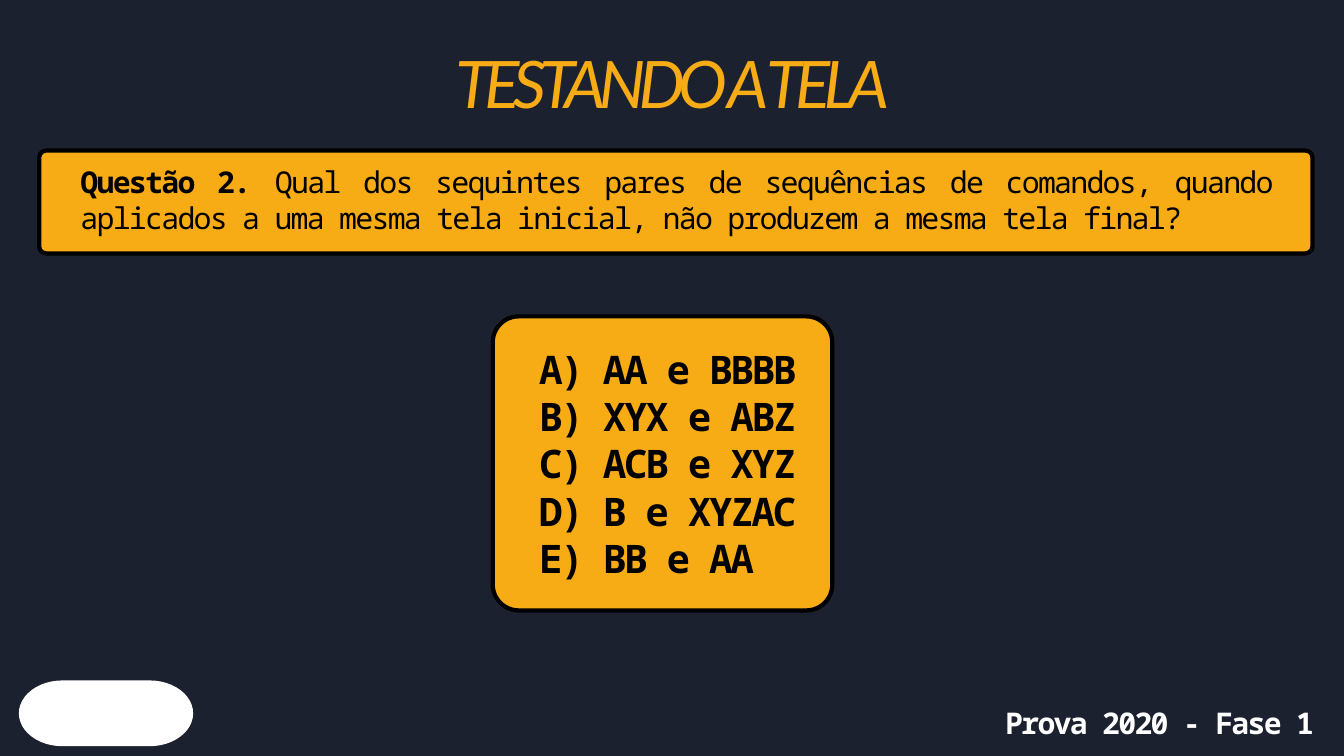
import math

from lxml import etree
from pptx import Presentation
from pptx.dml.color import RGBColor
from pptx.enum import shapes, text
from pptx.oxml.ns import qn
from pptx.util import Emu, Pt

PX = 9525  # EMU in one px, 96 px to the inch
COLORS = {"night": "1C2130", "amber": "F7AC16", "ink": "000000", "white": "FFFFFF"}
MONO, SANS = "Noto Sans Mono", "Lato"
ALIGN = text.PP_ALIGN

TITLE = "TESTANDO A TELA"
QUESTION = [
    ("Questão 2. ", True),
    ("Qual dos sequintes pares de sequências de comandos, quando aplicados a uma "
     "mesma tela inicial, não produzem a mesma tela final?", False),
]
OPTIONS = ["A) AA e BBBB", "B) XYX e ABZ", "C) ACB e XYZ", "D) B e XYZAC", "E) BB e AA"]
EXAM = "Prova 2020 - Fase 1"


def px(value):
    return Emu(round(value * PX))


def color(name):
    return RGBColor.from_string(COLORS[name])


def put(shape, left, top, width, height):
    shape.left, shape.top, shape.width, shape.height = map(px, (left, top, width, height))


def prepare_frame(shape):
    """Plain text area: no insets, text from the top."""
    frame = shape.text_frame
    frame.word_wrap = True
    frame.auto_size = text.MSO_AUTO_SIZE.NONE
    frame.vertical_anchor = text.MSO_ANCHOR.TOP
    frame.margin_left = frame.margin_top = frame.margin_right = frame.margin_bottom = 0
    return frame


def format_para(para, font, size, ink, align, leading, tracking, bold=None, italic=None):
    para.alignment = align
    para.line_spacing = Pt(leading)
    para.space_before = Pt(0)
    props = para._p.get_or_add_pPr()
    props.set("marL", "0")
    props.set("indent", "0")
    etree.SubElement(props, qn("a:buNone"))
    para.font.name, para.font.size = font, Pt(size)
    para.font.bold, para.font.italic = bold, italic
    para.font.color.rgb = color(ink)
    props.find(qn("a:defRPr")).set("spc", str(round(tracking * 100)))


def add_card(page, left, top, width, height, radius):
    card = page.shapes.add_shape(shapes.MSO_SHAPE.ROUNDED_RECTANGLE,
                                 px(left), px(top), px(width), px(height))
    card.adjustments[0] = radius / min(width, height)
    card.shadow.inherit = False
    card.fill.solid()
    card.fill.fore_color.rgb = color("amber")
    card.line.color.rgb = color("ink")
    card.line.width = Pt(4.5)


def add_title(page, left, top, width, height):
    title = page.shapes.title
    put(title, left, top, width, height)
    para = prepare_frame(title).paragraphs[0]
    para.text = TITLE
    format_para(para, SANS, 70.1, "amber", ALIGN.CENTER, 96.8, -7.2, italic=True)


def add_question(page, left, top, width, height):
    add_card(page, left, top, width, height, 10)
    box = page.shapes.add_textbox(px(left + 59), px(top + 19), px(width - 117), px(height - 44))
    para = prepare_frame(box).paragraphs[0]
    format_para(para, MONO, 32.1, "ink", ALIGN.JUSTIFY, 38.6, -1.9)
    for words, bold in QUESTION:
        span = para.add_run()
        span.text = words
        span.font.bold = bold


def add_options(page, left, top, width, height):
    add_card(page, left, top, width, height, 37)
    body = page.placeholders[1]
    page.shapes._spTree.append(body._element)  # in front of the card
    put(body, left + 66, top + 41, width - 39, height - 86)
    frame = prepare_frame(body)
    frame.text = "\n".join(OPTIONS)
    for para in frame.paragraphs:
        format_para(para, MONO, 42.1, "ink", ALIGN.LEFT, 50.6, -2.5, bold=True)


def add_pill(page, left, top, width, height):
    """White plate whose ends are half ellipses a quarter of the width deep."""
    depth, half, steps = width / 4, height / 2, 24
    points = []
    for center, start in ((left + width - depth, -90), (left + depth, 90)):
        for step in range(steps + 1):
            angle = math.radians(start + 180 * step / steps)
            points.append((round((center + depth * math.cos(angle)) * PX),
                           round((top + half + half * math.sin(angle)) * PX)))
    builder = page.shapes.build_freeform(*points[0])
    builder.add_line_segments(points[1:], close=True)
    pill = builder.convert_to_shape()
    pill.shadow.inherit = False
    pill.fill.solid()
    pill.fill.fore_color.rgb = color("white")
    pill.line.fill.background()


def add_exam(page, left, top, width, height):
    box = page.shapes.add_textbox(px(left), px(top), px(width), px(height))
    para = prepare_frame(box).paragraphs[0]
    para.text = EXAM
    format_para(para, MONO, 32, "white", ALIGN.JUSTIFY, 38.4, -1.9, bold=True)


def main():
    deck = Presentation()
    deck.slide_width, deck.slide_height = px(1920), px(1080)
    page = deck.slides.add_slide(deck.slide_layouts[1])
    page.background.fill.solid()
    page.background.fill.fore_color.rgb = color("night")

    add_pill(page, 27, 972, 249, 94)
    add_question(page, 56, 215, 1819, 147)
    add_options(page, 704, 452, 485, 420)
    add_title(page, 130, 45, 1661, 138)
    add_exam(page, 1436, 1006, 464, 51)
    deck.save("out.pptx")


if __name__ == "__main__":
    main()
